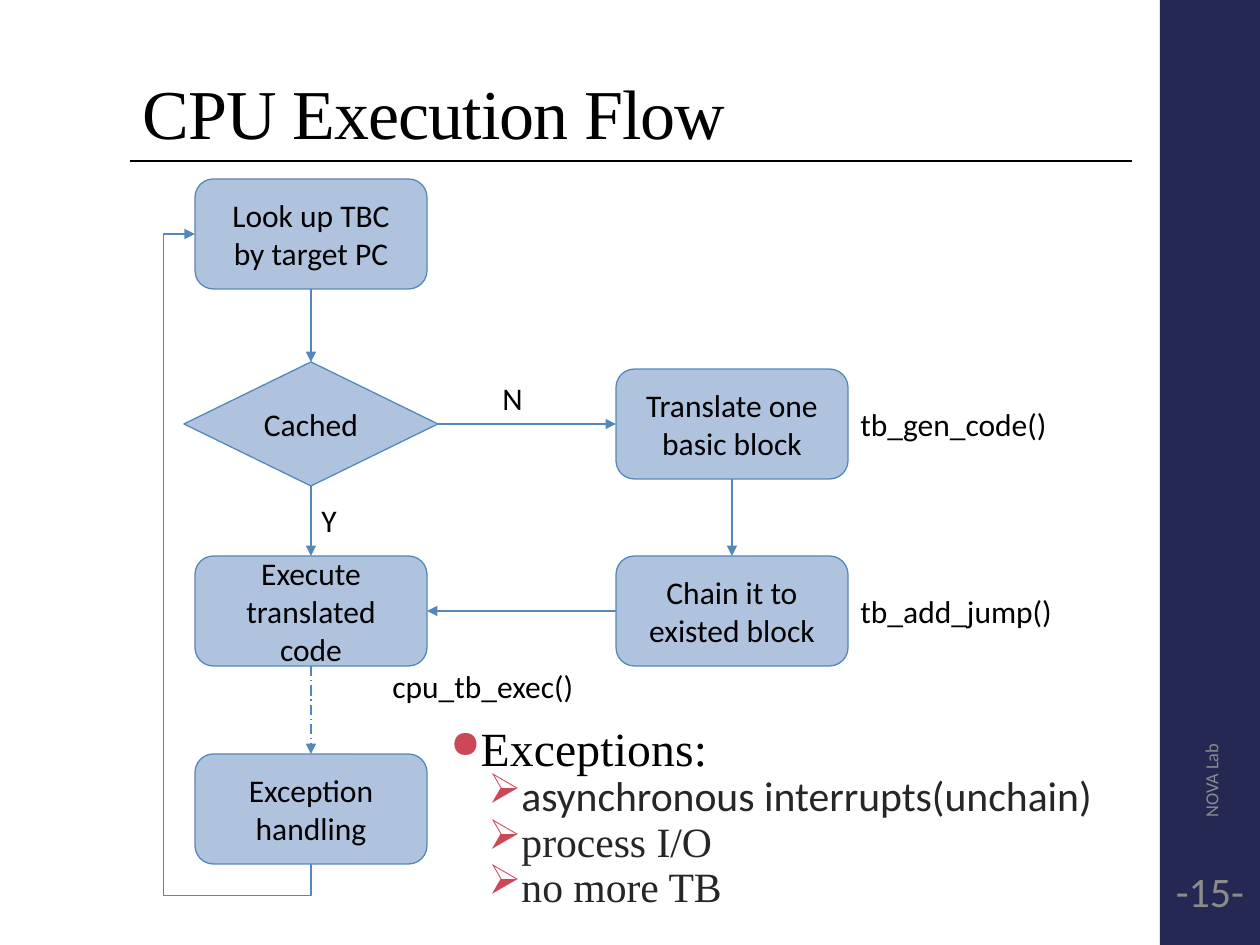
import collections
import dataclasses

import lxml.etree
import pptx
import pptx.dml.color
import pptx.enum.dml
import pptx.enum.shapes
import pptx.enum.text
import pptx.oxml.ns
import pptx.util

SCALE = 914400 / 126
SHAPES = pptx.enum.shapes.MSO_SHAPE
CONNECTORS = pptx.enum.shapes.MSO_CONNECTOR
ANCHOR = pptx.enum.text.MSO_ANCHOR
ALIGN = pptx.enum.text.PP_ALIGN
TOP, LEFT, BOTTOM, RIGHT = range(4)

Box = collections.namedtuple("Box", "left top width height")


@dataclasses.dataclass(frozen=True)
class Theme:
    """Colours, fonts and type sizes of the slide."""

    sidebar: str = "242852"
    ink: str = "000000"
    soft_ink: str = "262626"
    muted: str = "8C8C8C"
    bullet: str = "CC4757"
    node: str = "B0C3DE"
    edge: str = "5488BC"
    serif: str = "Times New Roman"
    sans: str = "Calibri"
    title_size: float = 40
    heading_size: float = 27.2
    item_size: float = 23.8
    flow_size: float = 18
    number_size: float = 24
    footer_size: float = 10.5
    line_width: float = 0.75


THEME = Theme()


def px(length):
    """Turn px into EMU."""
    return pptx.util.Emu(round(length * SCALE))


def rgb(color):
    """Turn a hex string into a colour."""
    return pptx.dml.color.RGBColor.from_string(color)


def add_element(parent, tag, **attributes):
    """Append a drawing element to its parent."""
    name = pptx.oxml.ns.qn(tag)
    return lxml.etree.SubElement(parent, name, attributes)


def set_font(paragraph, size, color, name=THEME.sans, spacing=0):
    """Style a paragraph, with letter spacing in points."""
    font = paragraph.font
    font.size = pptx.util.Pt(size)
    font.name = name
    font.color.rgb = rgb(color)
    if spacing:
        properties = paragraph._p.pPr.find(pptx.oxml.ns.qn("a:defRPr"))
        properties.set("spc", str(round(spacing * 100)))


def set_bullet(paragraph, character, percent, left, hanging):
    """Give a styled paragraph a coloured, hanging bullet."""
    properties = paragraph._p.pPr
    properties.set("marL", str(px(left)))
    properties.set("indent", str(-px(hanging)))
    defaults = properties.find(pptx.oxml.ns.qn("a:defRPr"))
    color = add_element(properties, "a:buClr")
    add_element(color, "a:srgbClr", val=THEME.bullet)
    size = add_element(properties, "a:buSzPct", val=str(percent * 1000))
    bullet = add_element(properties, "a:buChar", char=character)
    for element in (color, size, bullet):
        defaults.addprevious(element)


def add_text(slide, box, text, size, color, name=THEME.sans, spacing=0,
             anchor=ANCHOR.TOP, wrap=True):
    """Add a one-paragraph text box and return it."""
    shape = slide.shapes.add_textbox(*map(px, box))
    frame = shape.text_frame
    frame.word_wrap = wrap
    frame.vertical_anchor = anchor
    frame.paragraphs[0].text = text
    set_font(frame.paragraphs[0], size, color, name, spacing)
    return shape


def style_connector(connector, color, arrow=True, dash=None):
    """Set line, arrowhead and flat look of a connector."""
    connector.line.color.rgb = rgb(color)
    connector.line.width = pptx.util.Pt(THEME.line_width)
    if dash:
        connector.line.dash_style = dash
    if arrow:
        add_element(connector.line._get_or_add_ln(), "a:tailEnd", type="triangle")
    add_element(connector._element.spPr, "a:effectLst")


def add_sidebar(slide, box):
    """Add the dark band with footer and slide number."""
    band = slide.shapes.add_shape(SHAPES.RECTANGLE, *map(px, box))
    band.shadow.inherit = False
    band.fill.solid()
    band.fill.fore_color.rgb = rgb(THEME.sidebar)
    band.line.fill.background()
    footer = add_text(slide, Box(box.left - 196, box.top + 564, 494, 38), "NOVA Lab",
                      THEME.footer_size, THEME.muted, anchor=ANCHOR.MIDDLE)
    footer.rotation = 270
    number = add_text(slide, Box(box.left + 3, box.top + 850, box.width - 6, 82), "-15-",
                      THEME.number_size, THEME.muted, anchor=ANCHOR.MIDDLE)
    number.text_frame.margin_left = number.text_frame.margin_right = px(4)
    number.text_frame.paragraphs[0].alignment = ALIGN.CENTER


def add_title(slide, box):
    """Add the title with the rule beneath it."""
    bottom = box.top + box.height
    rule = slide.shapes.add_connector(
        CONNECTORS.STRAIGHT, *map(px, (box.left, bottom, box.left + box.width, bottom)))
    style_connector(rule, THEME.ink, arrow=False)
    title = add_text(slide, box, "CPU Execution Flow", THEME.title_size, THEME.ink,
                     THEME.serif, -0.5, ANCHOR.BOTTOM)
    title.text_frame.paragraphs[0].line_spacing = 0.9


def add_exceptions(slide, box):
    """Add the bulleted list of exceptions."""
    shape = add_text(slide, box, "Exceptions:", THEME.heading_size, THEME.ink,
                     THEME.serif, 0.1)
    heading = shape.text_frame.paragraphs[0]
    heading.line_spacing = 0.75
    heading.space_before = pptx.util.Pt(14)
    heading.space_after = pptx.util.Pt(2)
    set_bullet(heading, "●", 80, 25, 25)
    for text, name in (("asynchronous interrupts(unchain)", THEME.sans),
                       ("process I/O", THEME.serif), ("no more TB", THEME.serif)):
        item = shape.text_frame.add_paragraph()
        item.text = text
        item.level = 1
        item.line_spacing = 0.7
        item.space_before = item.space_after = pptx.util.Pt(3)
        set_font(item, THEME.item_size, THEME.soft_ink, name)
        set_bullet(item, "➢", 100, 63, 25)


def add_node(slide, kind, box, text):
    """Add one flowchart node and return it."""
    node = slide.shapes.add_shape(kind, *map(px, box))
    node.shadow.inherit = False
    node.fill.solid()
    node.fill.fore_color.rgb = rgb(THEME.node)
    node.line.color.rgb = rgb(THEME.edge)
    node.line.width = pptx.util.Pt(THEME.line_width)
    node.text_frame.vertical_anchor = ANCHOR.MIDDLE
    paragraph = node.text_frame.paragraphs[0]
    paragraph.text = text
    paragraph.alignment = ALIGN.CENTER
    set_font(paragraph, THEME.flow_size, THEME.ink)
    return node


def add_loop(slide, start, end):
    """Add the bent arrow from under one node back to the left of another."""
    start_x, start_y = start.left + start.width // 2, start.top + start.height
    end_x, end_y = end.left, end.top + end.height // 2
    length, depth = start_y - end_y, start_x - end_x
    loop = slide.shapes.add_connector(CONNECTORS.ELBOW, 0, 0, length, depth)
    loop.left = (start_x + end_x - length) // 2
    loop.top = (start_y + end_y - depth) // 2
    transform = loop._element.spPr.find(pptx.oxml.ns.qn("a:xfrm"))
    transform.set("rot", str(90 * 60000))
    transform.set("flipH", "1")
    geometry = loop._element.spPr.find(pptx.oxml.ns.qn("a:prstGeom"))
    geometry.set("prst", "bentConnector4")
    for name, value in (("adj1", -5000), ("adj2", 127200)):
        add_element(geometry.avLst, "a:gd", name=name, fmla=f"val {value}")
    style_connector(loop, THEME.edge)


def add_flowchart(slide, box):
    """Add the flowchart nodes, arrows and labels."""
    width, height, column = 232, 110, 421
    nodes = {}
    for key, left, top, text in (
            ("lookup", 0, 0, "Look up TBC\vby target PC"),
            ("translate", column, 190, "Translate one\vbasic block"),
            ("chain", column, 377, "Chain it to\vexisted block"),
            ("execute", 0, 377, "Execute\vtranslated\vcode"),
            ("exception", 0, 575, "Exception handling")):
        place = Box(box.left + left, box.top + top, width, height)
        nodes[key] = add_node(slide, SHAPES.FLOWCHART_ALTERNATE_PROCESS, place, text)
    nodes["cached"] = add_node(slide, SHAPES.FLOWCHART_DECISION,
                               Box(box.left - 11, box.top + 183, 254, 124), "Cached")
    dashed = pptx.enum.dml.MSO_LINE.LONG_DASH_DOT
    for start, start_side, end, end_side, dash in (
            ("lookup", BOTTOM, "cached", TOP, None),
            ("cached", BOTTOM, "execute", TOP, None),
            ("execute", BOTTOM, "exception", TOP, dashed),
            ("cached", RIGHT, "translate", LEFT, None),
            ("translate", BOTTOM, "chain", TOP, None),
            ("chain", LEFT, "execute", RIGHT, None)):
        arrow = slide.shapes.add_connector(CONNECTORS.STRAIGHT, 0, 0, 0, 0)
        arrow.begin_connect(nodes[start], start_side)
        arrow.end_connect(nodes[end], end_side)
        style_connector(arrow, THEME.edge, dash=dash)
    add_loop(slide, nodes["exception"], nodes["lookup"])
    for left, top, label_width, text in (
            (295, 194, 45, "N"), (114, 316, 40, "Y"), (653, 220, 214, "tb_gen_code()"),
            (653, 407, 219, "tb_add_jump()"), (185, 482, 209, "cpu_tb_exec()")):
        label = add_text(slide, Box(box.left + left, box.top + top, label_width, 50),
                         text, THEME.flow_size, THEME.ink, wrap=False)
        label.text_frame.auto_size = pptx.enum.text.MSO_AUTO_SIZE.SHAPE_TO_FIT_TEXT


def main():
    """Build and save the slide."""
    presentation = pptx.Presentation()
    presentation.slide_width, presentation.slide_height = px(1260), px(945)
    slide = presentation.slides.add_slide(presentation.slide_layouts[6])
    add_sidebar(slide, Box(1160, 0, 100, 945))
    add_title(slide, Box(130, 50, 1002, 111))
    add_exceptions(slide, Box(438, 726, 698, 210))
    add_flowchart(slide, Box(195, 179, 872, 685))
    presentation.save("out.pptx")


if __name__ == "__main__":
    main()
